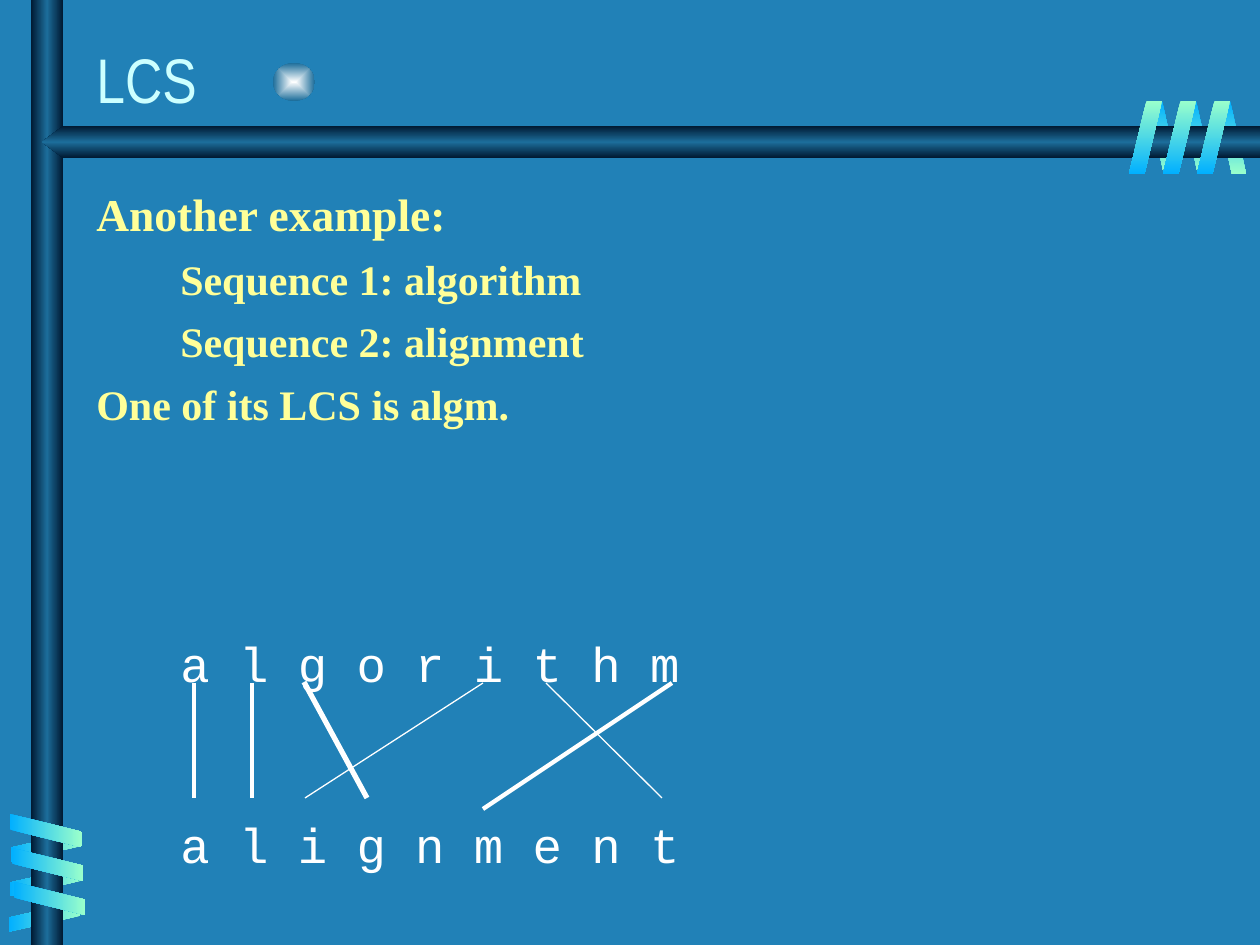
from lxml.etree import SubElement
from pptx import Presentation
from pptx.dml.color import RGBColor
from pptx.enum.shapes import MSO_CONNECTOR, MSO_SHAPE
from pptx.enum.text import MSO_ANCHOR
from pptx.oxml import parse_xml
from pptx.oxml.ns import qn
from pptx.util import Pt

PX = 914400 / 126
NS = "http://schemas.openxmlformats.org/drawingml/2006/main"
WHITE, YELLOW, CYAN = "FFFFFF", "FFFF99", "CCFFFF"
BLUE, MINT, DARK, STEEL = "01B0FF", "99FFCC", "001932", "1C6D9A"
BAR = [DARK, STEEL, DARK]

# left, top, width, height, step x, step y, rotation, flip, colours, angle
BACK = [
    (1148, 101, 30, 73, 34, 0, 180, True, [BLUE, MINT], 90),
    (32, 811, 30, 71, -1, 35, 90, True, [MINT, BLUE], 0),
]
FRONT = [
    (29, 795, 33, 71, 2, 34, 270, False, [BLUE, MINT], 0),
    (1129, 101, 33, 73, 34, 0, 0, False, [MINT, BLUE], 90),
]
BEAM = [(1260, 126), (63, 126), (42, 142), (63, 158), (1260, 158)]

# text, size, indent in px, space before in points
TITLE = [("LCS", 36, 0, 0)]
BODY = [
    ("Another example:", 26, 0, 0),
    ("Sequence 1: algorithm", 24, 84, 7),
    ("Sequence 2: alignment", 24, 84, 7),
    ("One of its LCS is algm.", 24, 0, 7),
]
WORDS = [("a l g o r i t h m", 28, 0, 0), ("a l i g n m e n t", 28, 0, 70)]

# from x, from y, to x, to y, width
LINKS = [
    (194, 683, 194, 798, 2.5),
    (252, 683, 252, 798, 2.5),
    (304, 682, 367, 798, 3),
    (483, 683, 305, 798, 0.75),
    (546, 683, 662, 798, 0.75),
    (672, 683, 483, 809, 2.5),
]


def emu(*nums):
    return [round(n * PX) for n in nums]


def color(code):
    return RGBColor.from_string(code)


def shade(shape, codes, angle=None):
    """Fill a shape with a gradient, from its centre if no angle is given."""
    last = len(codes) - 1
    stops = "".join(
        f'<a:gs pos="{100000 * i // last}"><a:srgbClr val="{c}"/></a:gs>'
        for i, c in enumerate(codes))
    if angle is None:
        way = ('<a:path path="rect"><a:fillToRect l="50000" t="50000" '
               'r="50000" b="50000"/></a:path>')
    else:
        way = f'<a:lin ang="{angle * 60000}" scaled="0"/>'
    shape.line.fill.background()
    shape.shadow.inherit = False
    props = shape.element.spPr
    props.find(qn("a:ln")).addprevious(parse_xml(
        f'<a:gradFill xmlns:a="{NS}" rotWithShape="0">'
        f'<a:gsLst>{stops}</a:gsLst>{way}</a:gradFill>'))


def ribbon(slide, rows):
    """Draw each row as three slanted strips, last one first."""
    for x, y, w, h, dx, dy, turn, flip, codes, angle in rows:
        for i in range(3):
            strip = slide.shapes.add_shape(
                MSO_SHAPE.PARALLELOGRAM, *emu(x + dx * i, y + dy * i, w, h))
            strip.adjustments[0] = 0.53
            strip.rotation = turn
            if flip:
                strip.element.spPr.get_or_add_xfrm().set("flipH", "1")
            shade(strip, codes, angle)


def write(slide, place, rows, font, code, bold=False, anchor=MSO_ANCHOR.TOP):
    """Add a text box with one paragraph per row."""
    frame = slide.shapes.add_textbox(*emu(*place)).text_frame
    frame.word_wrap = True
    frame.vertical_anchor = anchor
    for i, (text, size, indent, gap) in enumerate(rows):
        para = frame.paragraphs[0] if i == 0 else frame.add_paragraph()
        para.text = text
        para.space_before = Pt(gap)
        para._p.get_or_add_pPr().set("marL", str(emu(indent)[0]))
        face = para.runs[0].font
        face.name, face.size, face.bold = font, Pt(size), bold
        face.color.rgb = color(code)


def link(slide, x1, y1, x2, y2, width):
    """Join a letter to its match."""
    line = slide.shapes.add_connector(
        MSO_CONNECTOR.STRAIGHT, *emu(x1, y1, x2, y2))
    line.line.color.rgb = color(WHITE)
    line.line.width = Pt(width)
    SubElement(line.element.spPr, qn("a:effectLst"))


def main():
    """Build the slide."""
    deck = Presentation()
    deck.slide_width, deck.slide_height = emu(1260, 945)
    slide = deck.slides.add_slide(deck.slide_layouts[6])
    slide.background.fill.solid()
    slide.background.fill.fore_color.rgb = color("2181B7")

    gem = slide.shapes.add_shape(MSO_SHAPE.OVAL, *emu(273, 63, 42, 38))
    shade(gem, ["FEFFFF", STEEL])
    ribbon(slide, BACK)
    post = slide.shapes.add_shape(MSO_SHAPE.RECTANGLE, *emu(31, 0, 32, 945))
    shade(post, BAR, 0)
    path = slide.shapes.build_freeform(*BEAM[0], scale=PX)
    path.add_line_segments(BEAM[1:], close=True)
    shade(path.convert_to_shape(), BAR, 90)
    ribbon(slide, FRONT)

    write(slide, (84, 28, 1046, 94), TITLE, "Arial Narrow", CYAN,
          anchor=MSO_ANCHOR.BOTTOM)
    write(slide, (84, 180, 1144, 675), BODY, "Times New Roman", YELLOW, True)
    write(slide, (168, 627, 735, 242), WORDS, "Courier New", WHITE)
    for row in LINKS:
        link(slide, *row)
    deck.save("out.pptx")


if __name__ == "__main__":
    main()
